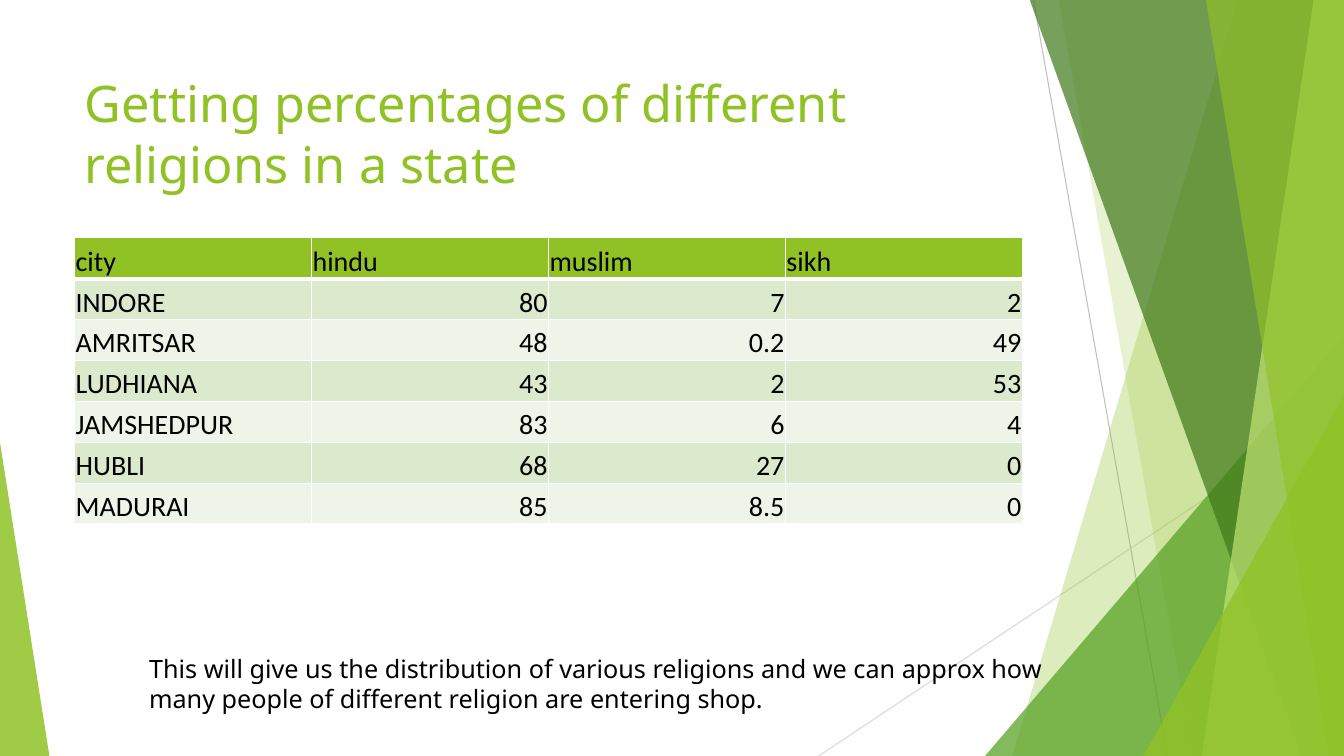
from typing import NamedTuple

from lxml import etree
from pptx import Presentation
from pptx.dml.color import RGBColor
from pptx.enum.shapes import MSO_CONNECTOR, MSO_SHAPE
from pptx.enum.text import MSO_ANCHOR, MSO_AUTO_SIZE, PP_ALIGN
from pptx.oxml.ns import qn
from pptx.util import Inches, Pt

LIME = RGBColor(0x90, 0xC2, 0x26)
GREEN = RGBColor(0x54, 0xA0, 0x21)
FOREST = RGBColor(0x3F, 0x78, 0x19)
PALE_LIME = RGBColor(0xC0, 0xE4, 0x74)
ROW_DARK = RGBColor(0xDB, 0xE9, 0xCD)
ROW_LIGHT = RGBColor(0xEE, 0xF4, 0xE8)
GREY = RGBColor(0xBF, 0xBF, 0xBF)
LIGHT_GREY = RGBColor(0xD9, 0xD9, 0xD9)
WHITE = RGBColor(0xFF, 0xFF, 0xFF)
BLACK = RGBColor(0, 0, 0)

WIDTH, HEIGHT, TOP = 13.33, 7.5, -0.01
TEXT_FONT, TABLE_FONT = "Noto Sans", "Calibri"

RELIGION_SHARES = [
    ("city", "hindu", "muslim", "sikh"),
    ("INDORE", "80", "7", "2"),
    ("AMRITSAR", "48", "0.2", "49"),
    ("LUDHIANA", "43", "2", "53"),
    ("JAMSHEDPUR", "83", "6", "4"),
    ("HUBLI", "68", "27", "0"),
    ("MADURAI", "85", "8.5", "0"),
]


class Ray(NamedTuple):
    """A thin straight line."""
    x1: float
    y1: float
    x2: float
    y2: float
    color: RGBColor


class Band(NamedTuple):
    """A slanted band from its left edge to the right side of the slide."""
    top_x: float
    bottom_x: float
    color: RGBColor
    opacity: int


class Corner(NamedTuple):
    """A right triangle standing on the bottom of the slide."""
    left: float
    top: float
    width: float
    apex: float
    color: RGBColor
    opacity: int


RAYS = [
    Ray(10.25, 0, 11.58, HEIGHT, GREY),
    Ray(WIDTH, 4.03, 8.12, HEIGHT, LIGHT_GREY),
]
FACETS = [
    Band(12.28, 10.04, LIME, 30),
    Band(10.5, 11.83, LIME, 20),
    Corner(9.77, 3.33, 3.56, 1, GREEN, 72),
    Band(10.21, 12.91, FOREST, 70),
    Band(13.03, 11.92, PALE_LIME, 70),
    Band(11.96, 13.18, LIME, 65),
    Corner(11.34, 3.93, 1.99, 1, LIME, 80),
    Corner(0, 4.39, 0.49, 0, LIME, 85),
]


def draw_ray(shapes, ray: Ray) -> None:
    """Draw one thin line without a shadow."""
    line = shapes.add_connector(MSO_CONNECTOR.STRAIGHT, *map(Inches, ray[:4]))
    line.line.color.rgb = ray.color
    line.line.width = Pt(0.75)
    etree.SubElement(line._element.spPr, qn("a:effectLst"))


def draw_facet(shapes, facet: Band | Corner) -> None:
    """Draw one translucent facet."""
    if isinstance(facet, Band):
        points = [(facet.top_x, TOP), (WIDTH, TOP), (WIDTH, HEIGHT),
                  (facet.bottom_x, HEIGHT)]
        corners = [(Inches(x), Inches(y)) for x, y in points]
        builder = shapes.build_freeform(*corners[0])
        builder.add_line_segments(corners[1:], close=True)
        shape = builder.convert_to_shape()
    else:
        shape = shapes.add_shape(
            MSO_SHAPE.ISOSCELES_TRIANGLE, Inches(facet.left), Inches(facet.top),
            Inches(facet.width), Inches(HEIGHT - facet.top))
        shape.adjustments[0] = facet.apex
    shape.shadow.inherit = False
    shape.line.fill.background()
    shape.fill.solid()
    shape.fill.fore_color.rgb = facet.color
    color = shape._element.spPr.find(qn("a:solidFill"))[0]
    etree.SubElement(color, qn("a:alpha"), val=str(facet.opacity * 1000))


def write_text(frame, text: str, size: int, color: RGBColor) -> None:
    """Fill a text frame with one wrapped, left-aligned paragraph."""
    frame.word_wrap = True
    frame.auto_size = MSO_AUTO_SIZE.NONE
    frame.vertical_anchor = MSO_ANCHOR.TOP
    paragraph = frame.paragraphs[0]
    paragraph.alignment = PP_ALIGN.LEFT
    paragraph.line_spacing = 1.0
    paragraph.text = text
    font = paragraph.font
    font.name, font.size, font.color.rgb = TEXT_FONT, Pt(size), color


def set_borders(cell, top: int, bottom: int) -> None:
    """Give a cell white borders of the given widths in points."""
    properties = cell._tc.get_or_add_tcPr()
    for side, width in {"L": 1, "R": 1, "T": top, "B": bottom}.items():
        border = etree.SubElement(properties, qn(f"a:ln{side}"), w=str(Pt(width)))
        fill = etree.SubElement(border, qn("a:solidFill"))
        etree.SubElement(fill, qn("a:srgbClr"), val=str(WHITE))


def format_cell(cell, text: str, row: int, column: int) -> None:
    """Write and format one table cell."""
    set_borders(cell, top=3 if row == 1 else 1, bottom=3 if row == 0 else 1)
    cell.fill.solid()
    banded = ROW_DARK if row % 2 else ROW_LIGHT
    cell.fill.fore_color.rgb = banded if row else LIME
    cell.vertical_anchor = MSO_ANCHOR.BOTTOM
    cell.margin_left = cell.margin_right = cell.margin_top = Inches(0.01)
    cell.margin_bottom = 0
    paragraph = cell.text_frame.paragraphs[0]
    paragraph.alignment = PP_ALIGN.RIGHT if row and column else PP_ALIGN.LEFT
    run = paragraph.add_run()
    run.text = text
    font = run.font
    font.name, font.size, font.bold = TABLE_FONT, Pt(20), False
    font.color.rgb = BLACK


def draw_table(shapes, rows: list[tuple[str, ...]]) -> None:
    """Draw the table of religion shares by city."""
    table = shapes.add_table(
        len(rows), len(rows[0]), Inches(0.74), Inches(2.36),
        Inches(9.4), Inches(2.84)).table
    for r, values in enumerate(rows):
        for c, text in enumerate(values):
            format_cell(table.cell(r, c), text, r, c)


def main() -> None:
    """Build and save the slide."""
    deck = Presentation()
    deck.slide_width, deck.slide_height = Inches(WIDTH), Inches(HEIGHT)
    slide = deck.slides.add_slide(deck.slide_layouts[5])
    shapes = slide.shapes
    for ray in RAYS:
        draw_ray(shapes, ray)
    for facet in FACETS:
        draw_facet(shapes, facet)

    title = shapes.title
    title.left, title.top = Inches(0.74), Inches(0.67)
    title.width, title.height = Inches(9.4), Inches(1.44)
    write_text(title.text_frame,
               "Getting percentages of different religions in a state", 36, LIME)
    shapes._spTree.append(title._element)

    draw_table(shapes, RELIGION_SHARES)
    remark = shapes.add_textbox(
        Inches(1.38), Inches(6.43), Inches(9.62), Inches(0.71))
    write_text(remark.text_frame,
               "This will give us the distribution of various religions and we can "
               "approx how many people of different religion are entering shop.",
               18, BLACK)
    deck.save("out.pptx")


main()
